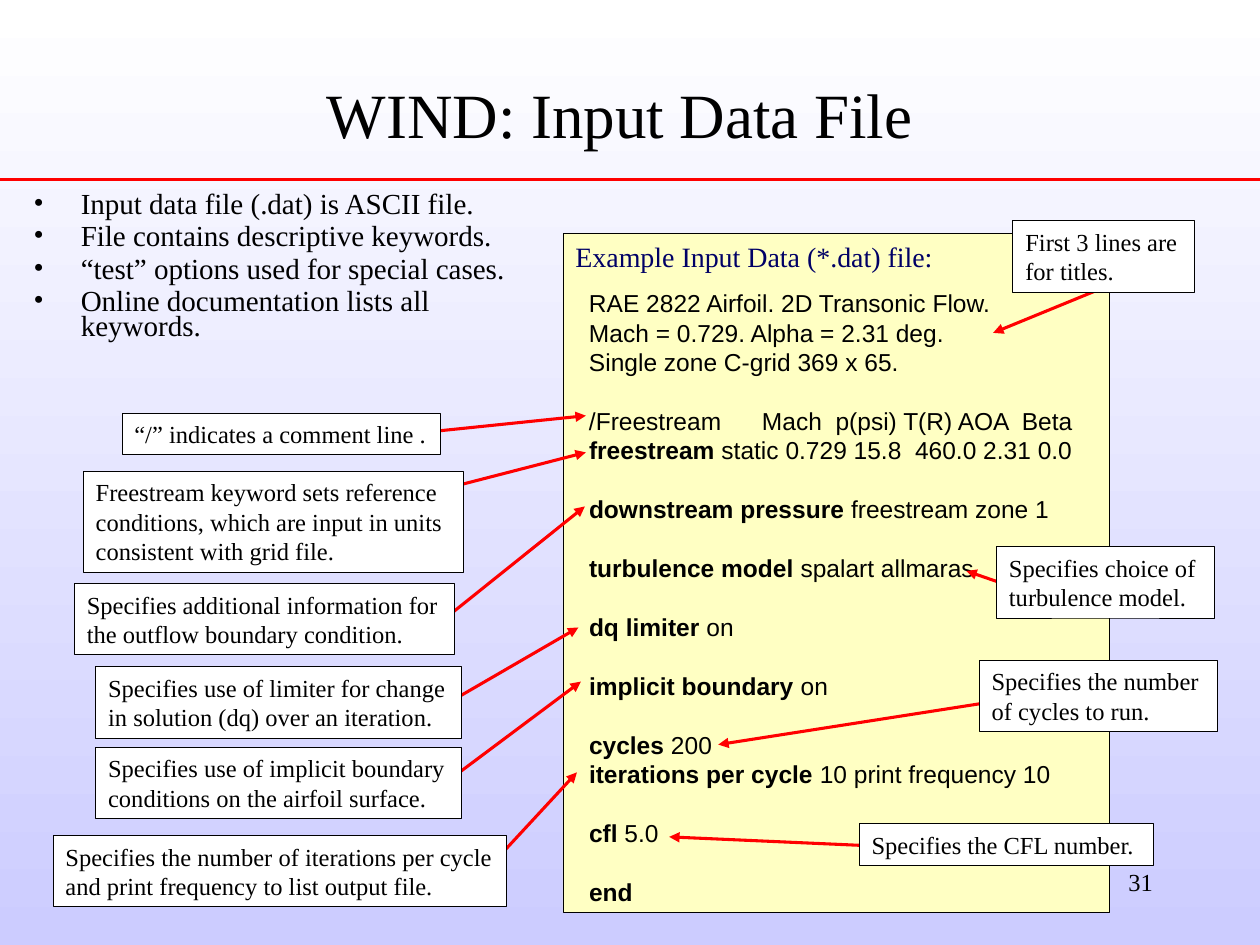
from lxml import etree
from pptx import Presentation, util as u
from pptx.dml.color import RGBColor
from pptx.enum import shapes, text
from pptx.oxml.ns import qn

SERIF, SANS = "Times New Roman", "Arial"
RED, BLACK, WHITE = "FF0000", "000000", "FFFFFF"
LINE = 16.8  # line pitch of 14 pt text, in points

POINTS = [
    "Input data file (.dat) is ASCII file.",
    "File contains descriptive keywords.",
    "“test” options used for special cases.",
    "Online documentation lists all keywords.",
]

# Groups of lines, parted by one line of space: (plain or keyword, rest)
CODE = [
    [("", "RAE 2822 Airfoil. 2D Transonic Flow."),
     ("", "Mach = 0.729. Alpha = 2.31 deg."),
     ("", "Single zone C-grid 369 x 65.")],
    [("", "/Freestream      Mach  p(psi) T(R) AOA  Beta"),
     ("freestream", " static 0.729 15.8  460.0 2.31 0.0")],
    [("downstream pressure", " freestream zone 1")],
    [("turbulence model", " spalart allmaras")],
    [("dq limiter", " on")],
    [("implicit boundary", " on")],
    [("cycles", " 200"),
     ("iterations per cycle", " 10 print frequency 10")],
    [("cfl", " 5.0")],
    [("end", "")],
]

# Left, top, width; arrow start and tip from the note's corner; lines
NOTES = [
    ((20.42, 4.45, 3.66), (1.65, 1.42), (-0.4, 2.26),
     ["First 3 lines are", "for titles."]),
    ((20.09, 11.02, 4.39), (0.26, 0.79), (-0.61, 0.49),
     ["Specifies choice of", "turbulence model."]),
    ((19.74, 13.31, 4.8), (0.12, 0.86), (-5.26, 1.7),
     ["Specifies the number", "of cycles to run."]),
    ((17.32, 16.61, 5.94), (0, 0.43), (-3.83, 0.26),
     ["Specifies the CFL number."]),
    ((2.46, 8.33, 6.43), (6.15, 0.38), (9.35, 0.05),
     ["“/” indicates a comment line ."]),
    ((1.68, 9.5, 7.67), (7.49, 0.3), (10.13, -0.38),
     ["Freestream keyword sets reference",
      "conditions, which are input in units",
      "consistent with grid file."]),
    ((1.5, 11.76, 7.67), (7.47, 0.71), (10.29, -1.55),
     ["Specifies additional information for", "the outflow boundary condition."]),
    ((1.93, 13.44, 7.37), (7.19, 0.68), (9.73, -0.79),
     ["Specifies use of limiter for change", "in solution (dq) over an iteration."]),
    ((1.93, 15.06, 7.37), (7.09, 0.69), (9.78, -1.32),
     ["Specifies use of implicit boundary", "conditions on the airfoil surface."]),
    ((1.07, 16.84, 9.14), (8.94, 0.48), (10.56, -1.27),
     ["Specifies the number of iterations per cycle",
      "and print frequency to list output file."]),
]


def rgb(code):
    return RGBColor.from_string(code)


def cm(*nums):
    return [u.Cm(n) for n in nums]


def style(item, size, face=SERIF, color=BLACK):
    """Format the font of a run or of a paragraph's runs."""
    for run in getattr(item, "runs", [item]):
        run.font.size = u.Pt(size)
        run.font.name = face
        run.font.color.rgb = rgb(color)


def pace(para, pitch, before=0):
    para.line_spacing = u.Pt(pitch)
    para.space_before = u.Pt(before)


def paint(slide):
    fill = slide.background.fill
    fill.gradient()
    fill.gradient_angle = 270
    for stop, code, spot in zip(fill.gradient_stops, (WHITE, "CCCCFF"), (0, 1)):
        stop.color.rgb = rgb(code)
        stop.position = spot


def line(slide, start, end, head=False):
    link = slide.shapes.add_connector(
        shapes.MSO_CONNECTOR.STRAIGHT, *cm(*start, *end))
    link.line.color.rgb = rgb(RED)
    link.line.width = u.Pt(1.75)
    props = link._element.spPr
    if head:
        etree.SubElement(link.line._get_or_add_ln(), qn("a:tailEnd"), type="triangle")
    etree.SubElement(props, qn("a:effectLst"))


def panel(slide, box, color):
    """Add a thinly outlined box and return its text frame."""
    shape = slide.shapes.add_shape(shapes.MSO_SHAPE.RECTANGLE, *cm(*box))
    shape.shadow.inherit = False
    shape.fill.solid()
    shape.fill.fore_color.rgb = rgb(color)
    shape.line.color.rgb = rgb(BLACK)
    shape.line.width = u.Pt(0.5)
    frame = shape.text_frame
    frame.word_wrap = True
    frame.vertical_anchor = text.MSO_ANCHOR.TOP
    return frame


def head(slide, box):
    title = slide.shapes.title
    title.left, title.top, title.width, title.height = cm(*box)
    frame = title.text_frame
    frame.text = "WIND: Input Data File"
    frame.auto_size = text.MSO_AUTO_SIZE.NONE
    frame.vertical_anchor = text.MSO_ANCHOR.BOTTOM
    frame.paragraphs[0].alignment = text.PP_ALIGN.CENTER
    style(frame.paragraphs[0], 36)


def points(slide, box):
    frame = slide.shapes.add_textbox(*cm(*box)).text_frame
    frame.word_wrap = True
    frame.text = "\n".join(POINTS)
    for i, para in enumerate(frame.paragraphs):
        pace(para, 14.3, 4.2 if i else 0)
        props = para._p.get_or_add_pPr()
        props.set("marL", str(u.Cm(0.95)))
        props.set("indent", str(u.Cm(-0.95)))
        etree.SubElement(props, qn("a:buFont"), typeface=SERIF)
        etree.SubElement(props, qn("a:buChar"), char="•")
        style(para, 16.6)


def listing(slide, box):
    frame = panel(slide, box, "FFFFC3")
    frame.text = "Example Input Data (*.dat) file:"
    top = frame.paragraphs[0]
    top.alignment = text.PP_ALIGN.LEFT
    pace(top, 19.2)
    style(top, 16, color="000066")
    for g, group in enumerate(CODE):
        for i, (key, rest) in enumerate(group):
            para = frame.add_paragraph()
            para.alignment = text.PP_ALIGN.LEFT
            pace(para, LINE, 0 if i else LINE if g else 8.8)
            for part, bold in (("  ", False), (key, True), (rest, False)):
                if part:
                    run = para.add_run()
                    run.text = part
                    run.font.bold = bold
            style(para, 14, SANS)


def note(slide, spot, start, tip, lines):
    """Add a note box with an arrow to the line it explains."""
    left, top, width = spot
    line(slide, *((left + x, top + y) for x, y in (start, tip)), head=True)
    high = 0.84 + 0.6 * (len(lines) - 1)
    frame = panel(slide, (left, top, width, high), WHITE)
    frame.text = "\n".join(lines)
    for para in frame.paragraphs:
        para.alignment = text.PP_ALIGN.LEFT
        pace(para, LINE)
        style(para, 14)


def number(slide, box):
    frame = slide.shapes.add_textbox(*cm(*box)).text_frame
    frame.word_wrap = True
    frame.text = "31"
    frame.paragraphs[0].alignment = text.PP_ALIGN.RIGHT
    pace(frame.paragraphs[0], LINE)
    style(frame.paragraphs[0], 14)


def main():
    deck = Presentation()
    deck.slide_width, deck.slide_height = cm(25.4, 19.05)
    slide = deck.slides.add_slide(deck.slide_layouts[5])
    paint(slide)
    line(slide, (0, 3.61), (25.4, 3.61))
    head(slide, (1.7, 1.27, 21.59, 1.91))
    points(slide, (0.43, 3.81, 10.97, 3.56))
    listing(slide, (11.35, 4.7, 11.02, 13.69))
    for item in NOTES:
        note(slide, *item)
    number(slide, (18.21, 17.35, 5.28, 1.27))
    deck.save("out.pptx")


if __name__ == "__main__":
    main()
